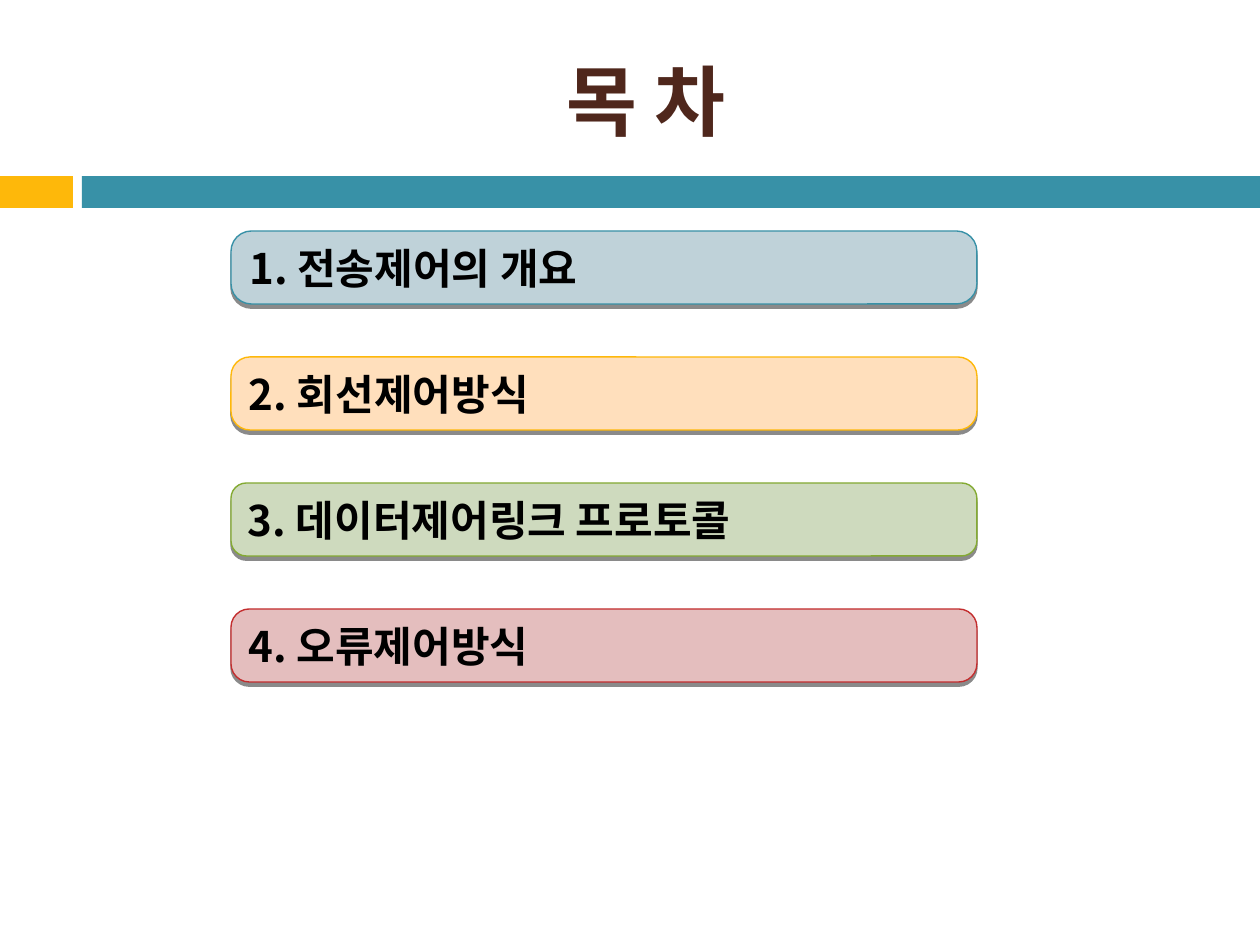
from lxml import etree
from pptx import Presentation
from pptx.dml.color import RGBColor
from pptx.enum.shapes import MSO_SHAPE
from pptx.enum.text import MSO_ANCHOR, PP_ALIGN
from pptx.oxml.ns import qn
from pptx.util import Emu, Pt

RECT = MSO_SHAPE.RECTANGLE
ROUNDED = MSO_SHAPE.ROUNDED_RECTANGLE
MIDDLE = MSO_ANCHOR.MIDDLE
LEFT, CENTER = PP_ALIGN.LEFT, PP_ALIGN.CENTER

PX_PER_INCH = 126
FONT = "Noto Sans CJK KR"
YELLOW, TEAL = "FEB80A", "3891A7"
CARD_LEFT, CARD_TOP, CARD_WIDTH, CARD_HEIGHT = 231, 231, 746, 73
CARD_PITCH = 126

# text, fill, outline, corner radius
CONTENTS = [
    ("1. 전송제어의 개요", "BFD2D9", TEAL, 0.28),
    ("2. 회선제어방식", "FFDFBC", YELLOW, 0.26),
    ("3. 데이터제어링크 프로토콜", "CEDABE", "84AA33", 0.21),
    ("4. 오류제어방식", "E4BEBE", "C32D2E", 0.25),
]


def px(length):
    return Emu(round(length * 914400 / PX_PER_INCH))


def color(hex_code):
    return RGBColor.from_string(hex_code)


def write_text(shape, text, *, size, ink, align=LEFT, wrap=True):
    frame = shape.text_frame
    frame.word_wrap = wrap
    frame.vertical_anchor = MIDDLE
    paragraph = frame.paragraphs[0]
    paragraph.alignment = align
    run = paragraph.add_run()
    run.text = text
    run.font.name = FONT
    run.font.size = Pt(size)
    run.font.bold = True
    run.font.color.rgb = color(ink)
    east_asian = etree.SubElement(run.font._element, qn("a:ea"))
    east_asian.set("typeface", FONT)


def add_block(slide, kind, left, top, width, height, fill):
    block = slide.shapes.add_shape(kind, px(left), px(top), px(width), px(height))
    block.shadow.inherit = False
    block.fill.solid()
    block.fill.fore_color.rgb = color(fill)
    block.line.fill.background()
    return block


def add_drop_shadow(shape):
    effects = shape._element.spPr.find(qn("a:effectLst"))
    shadow = etree.SubElement(effects, qn("a:outerShdw"), blurRad="0",
                              dist=str(Pt(2.4)), dir="5400000", rotWithShape="0")
    black = etree.SubElement(shadow, qn("a:srgbClr"), val="000000")
    etree.SubElement(black, qn("a:alpha"), val="45000")


def add_card(slide, top, text, fill, outline, radius):
    card = add_block(slide, ROUNDED, CARD_LEFT, top, CARD_WIDTH, CARD_HEIGHT, fill)
    card.adjustments[0] = radius
    card.line.color.rgb = color(outline)
    card.line.width = Pt(0.79)
    add_drop_shadow(card)
    write_text(card, text, size=24, ink="000000", wrap=False)


def place_title(slide, text):
    title = slide.shapes.title
    title.left, title.top, title.width, title.height = map(px, (84, 32, 1124, 136))
    write_text(title, text, size=44, ink="4F271C", align=CENTER)


def main():
    deck = Presentation()
    deck.slide_width, deck.slide_height = px(1260), px(945)
    slide = deck.slides.add_slide(deck.slide_layouts[5])

    add_block(slide, RECT, 0, 176, 73, 32, YELLOW)
    add_block(slide, RECT, 82, 176, 1178, 32, TEAL)
    place_title(slide, "목 차")
    for row, content in enumerate(CONTENTS):
        add_card(slide, CARD_TOP + row * CARD_PITCH, *content)

    deck.save("out.pptx")


if __name__ == "__main__":
    main()
